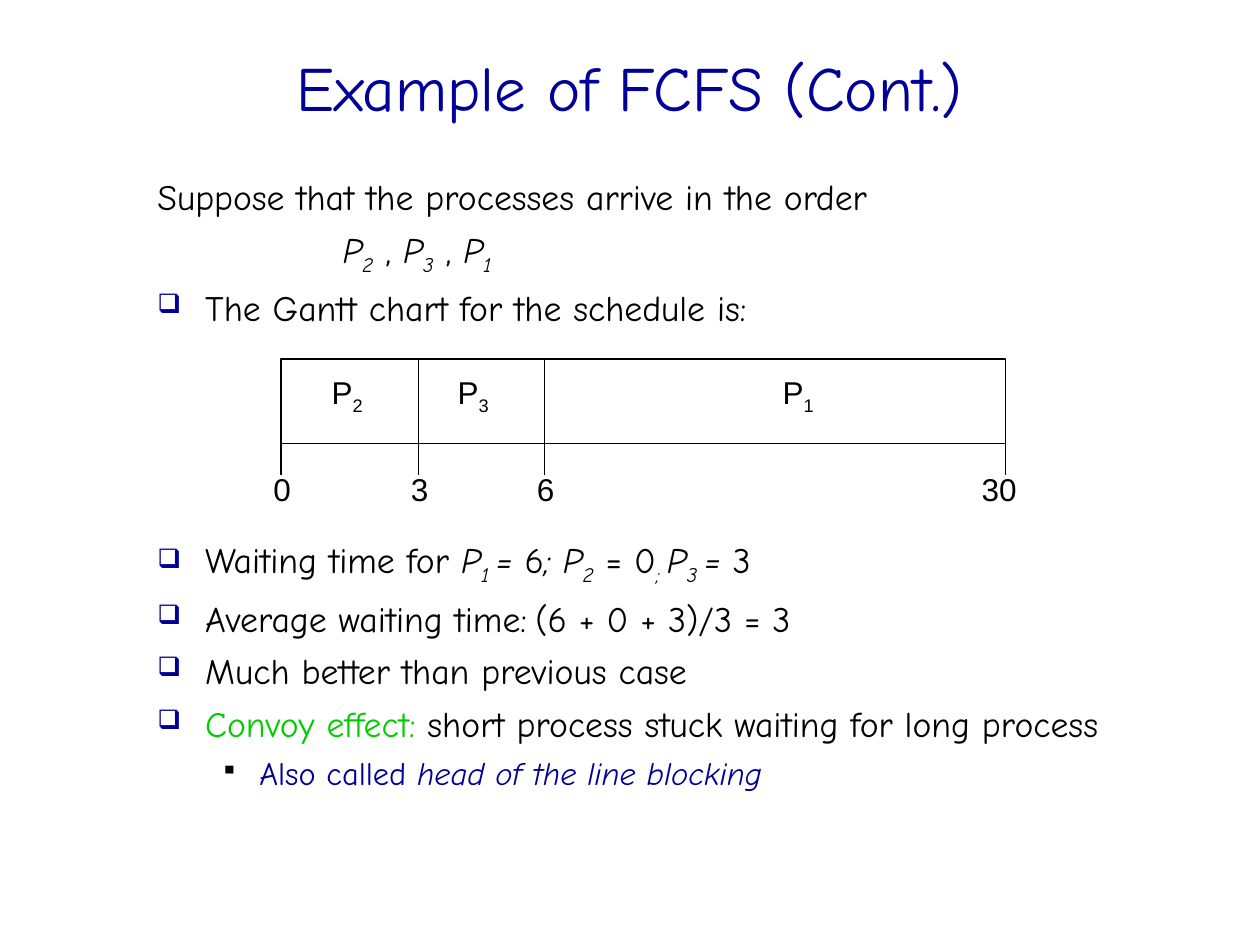
import pptx
import pptx.util
import pptx.dml.color
import pptx.enum.shapes
import pptx.enum.text
import pptx.oxml.ns
from lxml import etree

Inches = pptx.util.Inches
Pt = pptx.util.Pt
ALIGN = pptx.enum.text.PP_ALIGN
ANCHOR = pptx.enum.text.MSO_ANCHOR
COLORS = {"navy": "000099", "green": "00CC00", "black": "000000", "white": "FFFFFF"}


def color(name):
    return pptx.dml.color.RGBColor.from_string(COLORS[name])


def apply(target, values):
    for name, value in values.items():
        setattr(target, name, value)


def add_sub(parent, tag, **attrs):
    return etree.SubElement(parent, pptx.oxml.ns.qn("a:" + tag), attrs)


class Deck:
    """Holds the style and the current slide."""

    def __init__(self):
        self.prs = pptx.Presentation()
        self.prs.slide_width, self.prs.slide_height = Inches(10), Inches(7.5)
        self.slide = self.prs.slides.add_slide(self.prs.slide_layouts[6])
        self.base = {"name": "Comic Neue", "size": Pt(20.4)}
        self.label = {"name": "Arial", "size": Pt(18)}
        self.width = Pt(0.75)

    def box(self, left, top, width, height, **frame):
        shape = self.slide.shapes.add_textbox(
            Inches(left), Inches(top), Inches(width), Inches(height))
        apply(shape.text_frame, {"word_wrap": True, **frame})
        return shape.text_frame

    def runs(self, para, parts, font, tint="black"):
        """Each part is text or (text, marks): i italic, s subscript, g green."""
        for part in parts:
            text, marks = (part, "") if isinstance(part, str) else part
            run = para.add_run()
            run.text = text
            apply(run.font, font)
            run.font.color.rgb = color("green" if "g" in marks else tint)
            if "i" in marks:
                run.font.italic = True
            if "s" in marks:
                run.font._element.set("baseline", "-25000")

    def para(self, frame, parts, mark=None, left=0.38, hang=0.38, before=5.5,
             size=20.4, tint="black", dot="navy", tab=None):
        first = not frame.paragraphs[0].runs
        para = frame.paragraphs[0] if first else frame.add_paragraph()
        para.space_before = Pt(before)
        props = para._p.get_or_add_pPr()
        props.set("marL", str(Inches(left)))
        props.set("indent", str(-Inches(hang)))
        if mark:
            fill = add_sub(props, "buClr")
            add_sub(fill, "srgbClr", val=COLORS[dot])
            add_sub(props, "buSzPct", val="75000")
            add_sub(props, "buChar", char=mark)
        if tab:
            add_sub(add_sub(props, "tabLst"), "tab", pos=str(Inches(tab)), algn="l")
        self.runs(para, parts, {**self.base, "size": Pt(size)}, tint)

    def title(self, text):
        frame = self.box(0.47, 0.26, 9.05, 0.85, vertical_anchor=ANCHOR.MIDDLE)
        para = frame.paragraphs[0]
        para.alignment = ALIGN.CENTER
        self.runs(para, [text], {**self.base, "size": Pt(36)}, "navy")

    def tag(self, mid, top, width, height, parts):
        frame = self.box(mid - width / 2, top, width, height, word_wrap=False,
                         vertical_anchor=ANCHOR.MIDDLE,
                         auto_size=pptx.enum.text.MSO_AUTO_SIZE.SHAPE_TO_FIT_TEXT)
        para = frame.paragraphs[0]
        apply(para, {"alignment": ALIGN.CENTER, "space_before": Pt(11.2)})
        self.runs(para, parts, self.label)

    def rect(self, left, top, width, height):
        shape = self.slide.shapes.add_shape(
            pptx.enum.shapes.MSO_SHAPE.RECTANGLE,
            Inches(left), Inches(top), Inches(width), Inches(height))
        shape.shadow.inherit = False
        shape.fill.solid()
        shape.fill.fore_color.rgb = color("white")
        shape.line.color.rgb = color("black")
        shape.line.width = self.width

    def rule(self, x, top, bottom):
        line = self.slide.shapes.add_connector(
            pptx.enum.shapes.MSO_CONNECTOR.STRAIGHT,
            Inches(x), Inches(top), Inches(x), Inches(bottom))
        line.line.color.rgb = color("black")
        line.line.width = self.width
        add_sub(line._element.spPr, "effectLst")


def main():
    deck = Deck()
    deck.title("Example of FCFS (Cont.)")

    # Body text, with room left for the Gantt chart
    body = deck.box(1.15, 1.34, 7.78, 4.95)
    deck.para(body, ["Suppose that the processes arrive in the order"])
    deck.para(body, [("P", "i"), ("2", "is"), " , ", ("P", "i"), ("3", "is"), " , ",
                     ("P", "i"), ("1", "is")], left=1.47, hang=0)
    box = "❑"
    deck.para(body, ["The Gantt chart for the schedule is:"], box)
    deck.para(body, ["Waiting time for ", ("P", "i"), ("1 ", "is"), ("=", "i"), " 6",
                     ("; P", "i"), ("2", "is"), " = 0", ("; ", "is"), ("P", "i"),
                     ("3 ", "is"), ("= ", "i"), "3"], box, before=119.5)
    deck.para(body, ["Average waiting time:\t(6 + 0 + 3)/3 = 3"], box, tab=2.83)
    deck.para(body, ["Much better than previous case"], box)
    deck.para(body, [("Convoy effect:", "g"),
                     " short process stuck waiting for long process"], box)
    deck.para(body, ["Also called ", ("head of the line blocking", "i")], "▪",
              left=0.81, hang=0.31, before=5, size=18.5, tint="navy", dot="black")

    # Gantt chart: bar, dividers, ticks and times
    left, right, top, base = 2.23, 7.98, 2.85, 3.52
    deck.rect(left, top, right - left, base - top)
    for x, mid, time in ((left, 2.24, "0"), (3.32, 3.33, "3"),
                         (4.32, 4.33, "6"), (right, 7.93, "30")):
        if left < x < right:
            deck.rule(x, top, base)
        deck.rule(x, base, base + 0.25)
        deck.tag(mid, 3.68, 0.2 + 0.14 * len(time), 0.4, [time])

    # Process names
    for mid, num in ((2.755, "2"), (3.755, "3"), (6.335, "1")):
        deck.tag(mid, 2.91, 0.45, 0.44, ["P", (num, "s")])

    deck.prs.save("out.pptx")


if __name__ == "__main__":
    main()
